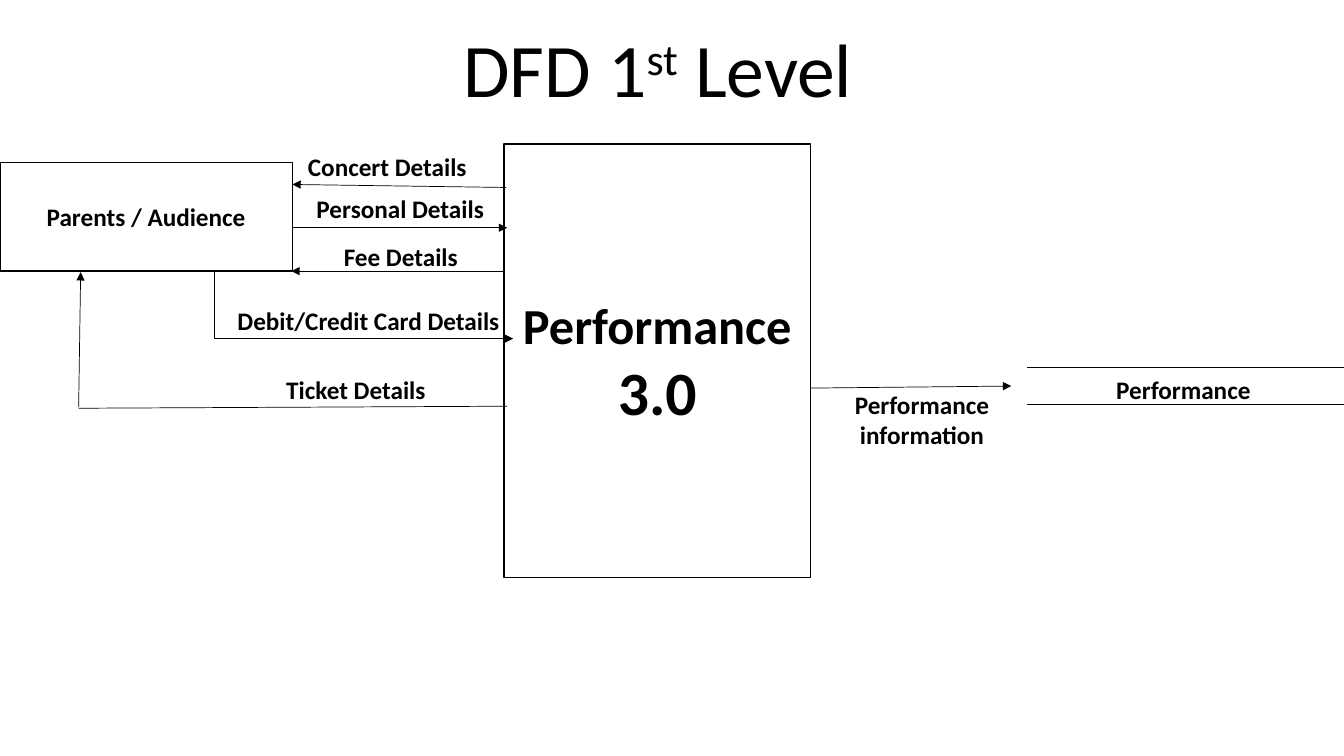
import pptx
import pptx.util
import pptx.dml.color
import pptx.enum.shapes
import pptx.enum.text
import pptx.oxml
import pptx.oxml.ns
from pptx.util import Inches

BLACK = pptx.dml.color.RGBColor(0x00, 0x00, 0x00)
WHITE = pptx.dml.color.RGBColor(0xFF, 0xFF, 0xFF)
CONNECTOR = pptx.enum.shapes.MSO_CONNECTOR
ANCHOR = pptx.enum.text.MSO_ANCHOR

prs = pptx.Presentation()
prs.slide_width, prs.slide_height = Inches(13.33), Inches(7.5)
s = prs.slides.add_slide(prs.slide_layouts[6])


def add_run(p, text, size, bold=True):
    p.alignment = pptx.enum.text.PP_ALIGN.CENTER
    r = p.add_run()
    r.text = text
    style = {"name": "Calibri", "size": pptx.util.Pt(size), "bold": bold}
    for key, value in style.items():
        setattr(r.font, key, value)
    r.font.color.rgb = BLACK
    return r


def add_flow(x1, y1, x2, y2, arrow=True, kind=CONNECTOR.STRAIGHT):
    c = s.shapes.add_connector(kind, Inches(x1), Inches(y1), Inches(x2), Inches(y2))
    c.line.color.rgb = BLACK
    c.line.width = pptx.util.Pt(0.5)
    if arrow:
        tail = pptx.oxml.ns.qn("a:tailEnd")
        c.line._get_or_add_ln().makeelement(tail)
        pptx.oxml.xmlchemy.OxmlElement("a:tailEnd")
        ln = c.line._get_or_add_ln()
        ln.append(ln.makeelement(tail, {"type": "triangle"}))
    sp = c._element.spPr
    sp.append(sp.makeelement(pptx.oxml.ns.qn("a:effectLst")))
    return c


# Process and entity boxes
boxes = [
    (5, 1.43, 3.04, 4.3, [("Performance", 36), ("3.0", 44)]),
    (0, 1.61, 2.9, 1.08, [("Parents / Audience", 18)]),
]
for x, y, w, h, lines in boxes:
    box = s.shapes.add_shape(pptx.enum.shapes.MSO_SHAPE.RECTANGLE,
                             Inches(x), Inches(y), Inches(w), Inches(h))
    box.shadow.inherit = False
    box.fill.solid()
    box.fill.fore_color.rgb = WHITE
    box.line.color.rgb = BLACK
    box.line.width = pptx.util.Pt(1)
    tf = box.text_frame
    tf.word_wrap = True
    tf.vertical_anchor = ANCHOR.MIDDLE
    for i, (text, size) in enumerate(lines):
        add_run(tf.add_paragraph() if i else tf.paragraphs[0], text, size)

# Data flows with arrowheads
for ends in [
    (5.02, 1.86, 2.9, 1.83),    # concert details
    (2.91, 2.26, 5.03, 2.26),   # personal details
    (4.99, 2.69, 2.89, 2.69),   # fee details
    (0.78, 4.04, 0.8, 2.7),     # ticket details, rising part
    (8.04, 3.85, 10.03, 3.83),  # performance information
]:
    add_flow(*ends)

# Card details: elbow that turns down at 41.4 % of its width
card = add_flow(0.03, 2.69, 5.09, 3.36, kind=CONNECTOR.ELBOW)
av = card._element.spPr.find(".//" + pptx.oxml.ns.qn("a:avLst"))
av.append(av.makeelement(pptx.oxml.ns.qn("a:gd"), {"name": "adj1", "fmla": "val 41400"}))

# Plain lines: ticket details and the two rules of the data store
add_flow(5.03, 4.03, 0.78, 4.05, arrow=False)
for y in (3.64, 4.01):
    add_flow(10.19, y, 13.33, y, arrow=False)

# Labels and title
labels = [
    (2.82, 1.45, 2.1, 0.4, "Concert Details "),
    (2.92, 1.87, 2.1, 0.4, "Personal Details"),
    (2.62, 2.34, 2.71, 0.4, "Fee Details"),
    (2.1, 2.98, 3.11, 0.4, "Debit/Credit Card Details"),
    (2.06, 3.66, 2.94, 0.4, "Ticket Details"),
    (10.19, 3.66, 3.15, 0.4, "Performance "),
    (7.93, 3.81, 2.43, 0.71, "Performance information"),
]
for x, y, w, h, text in labels:
    tf = s.shapes.add_textbox(Inches(x), Inches(y), Inches(w), Inches(h)).text_frame
    tf.word_wrap = True
    add_run(tf.paragraphs[0], text, 18)

tf = s.shapes.add_textbox(Inches(4.45), Inches(0.17), Inches(4.15), Inches(1.01)).text_frame
tf.word_wrap = False
p = tf.paragraphs[0]
add_run(p, "DFD 1", 54, bold=False)
r = add_run(p, "st", 54, bold=False)
r.font._element.set("baseline", "30000")
add_run(p, " Level", 54, bold=False)

prs.save("out.pptx")
